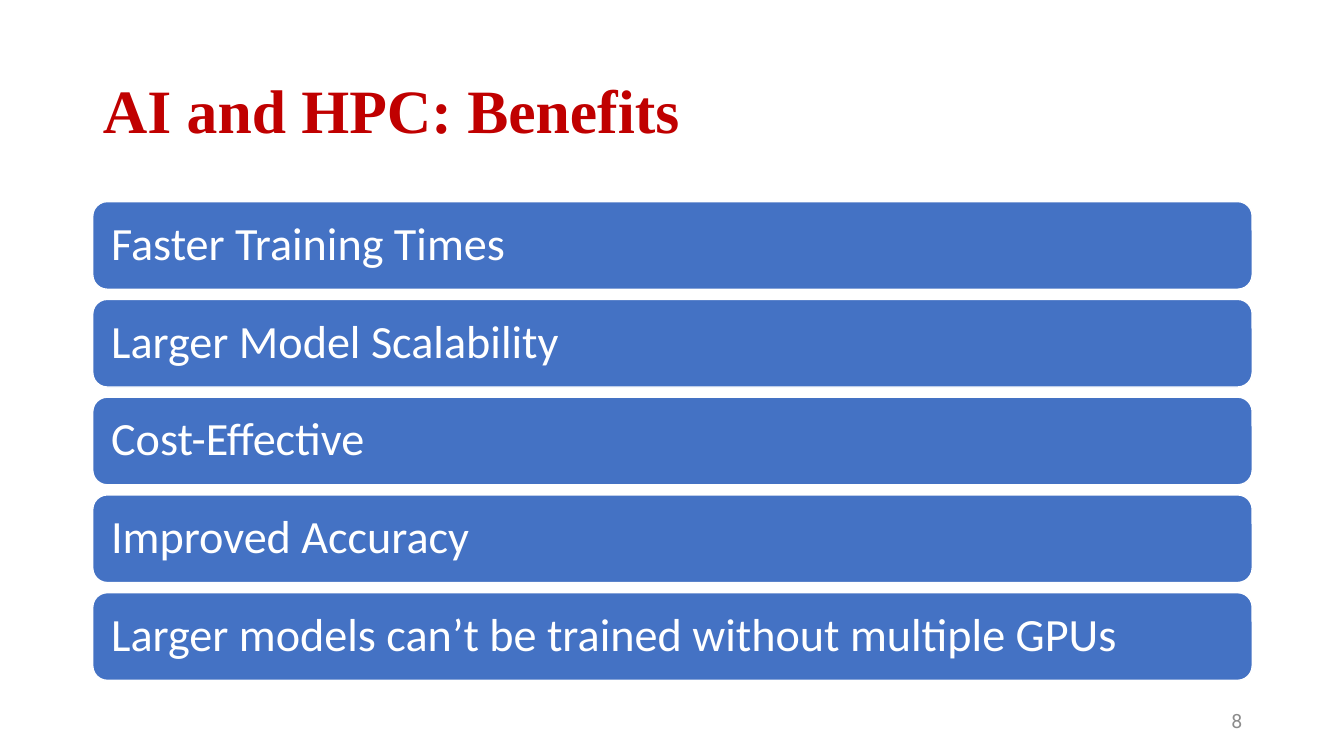
import pptx
import pptx.dml.color
import pptx.enum.shapes
import pptx.enum.text
import pptx.util

Inches = pptx.util.Inches
ALIGN = pptx.enum.text.PP_ALIGN


def color(hex_code):
    return pptx.dml.color.RGBColor.from_string(hex_code)


def write(frame, text, size, font, ink, bold=False, align=ALIGN.LEFT, spacing=1.0, inset=0.1):
    frame.word_wrap = True
    frame.auto_size = pptx.enum.text.MSO_AUTO_SIZE.NONE
    frame.vertical_anchor = pptx.enum.text.MSO_ANCHOR.MIDDLE
    frame.margin_left = frame.margin_right = Inches(inset)
    frame.margin_top = frame.margin_bottom = Inches(0.05)
    paragraph = frame.paragraphs[0]
    paragraph.alignment = align
    paragraph.line_spacing = spacing
    run = paragraph.add_run()
    run.text = text
    run.font.size = pptx.util.Pt(size)
    run.font.name = font
    run.font.bold = bold
    run.font.color.rgb = color(ink)


class BenefitsSlide:
    RED, BLUE, WHITE, GRAY = "C00000", "4472C4", "FFFFFF", "8C8C8C"
    LEFT, WIDTH = 0.92, 11.5

    def __init__(self, deck):
        self.slide = deck.slides.add_slide(deck.slide_layouts[5])

    def title(self, text):
        heading = self.slide.shapes.title
        heading.left, heading.top = Inches(self.LEFT), Inches(0.4)
        heading.width, heading.height = Inches(self.WIDTH), Inches(1.45)
        write(heading.text_frame, text, size=44, font="Times New Roman",
              ink=self.RED, bold=True, spacing=0.9)

    def bar(self, text, top, height):
        benefit = self.slide.shapes.add_shape(
            pptx.enum.shapes.MSO_SHAPE.ROUNDED_RECTANGLE,
            Inches(self.LEFT), Inches(top), Inches(self.WIDTH), Inches(height))
        benefit.shadow.inherit = False
        benefit.fill.solid()
        benefit.fill.fore_color.rgb = color(self.BLUE)
        benefit.line.color.rgb = color(self.WHITE)
        benefit.line.width = pptx.util.Pt(1)
        write(benefit.text_frame, text, size=33, font="Calibri",
              ink=self.WHITE, spacing=0.9, inset=0.14)

    def page_number(self, text):
        number = self.slide.shapes.add_textbox(
            Inches(9.42), Inches(6.95), Inches(3), Inches(0.4))
        write(number.text_frame, text, size=14, font="Roboto",
              ink=self.GRAY, align=ALIGN.RIGHT)


def main():
    deck = pptx.Presentation()
    deck.slide_width, deck.slide_height = Inches(13.33), Inches(7.5)
    page = BenefitsSlide(deck)
    page.title("AI and HPC: Benefits")
    benefits = [
        "Faster Training Times",
        "Larger Model Scalability",
        "Cost-Effective",
        "Improved Accuracy",
        "Larger models can’t be trained without multiple GPUs",
    ]
    for row, benefit in enumerate(benefits):
        page.bar(benefit, top=2 + row * 0.97, height=0.87)
    page.page_number("8")
    deck.save("out.pptx")


if __name__ == "__main__":
    main()
